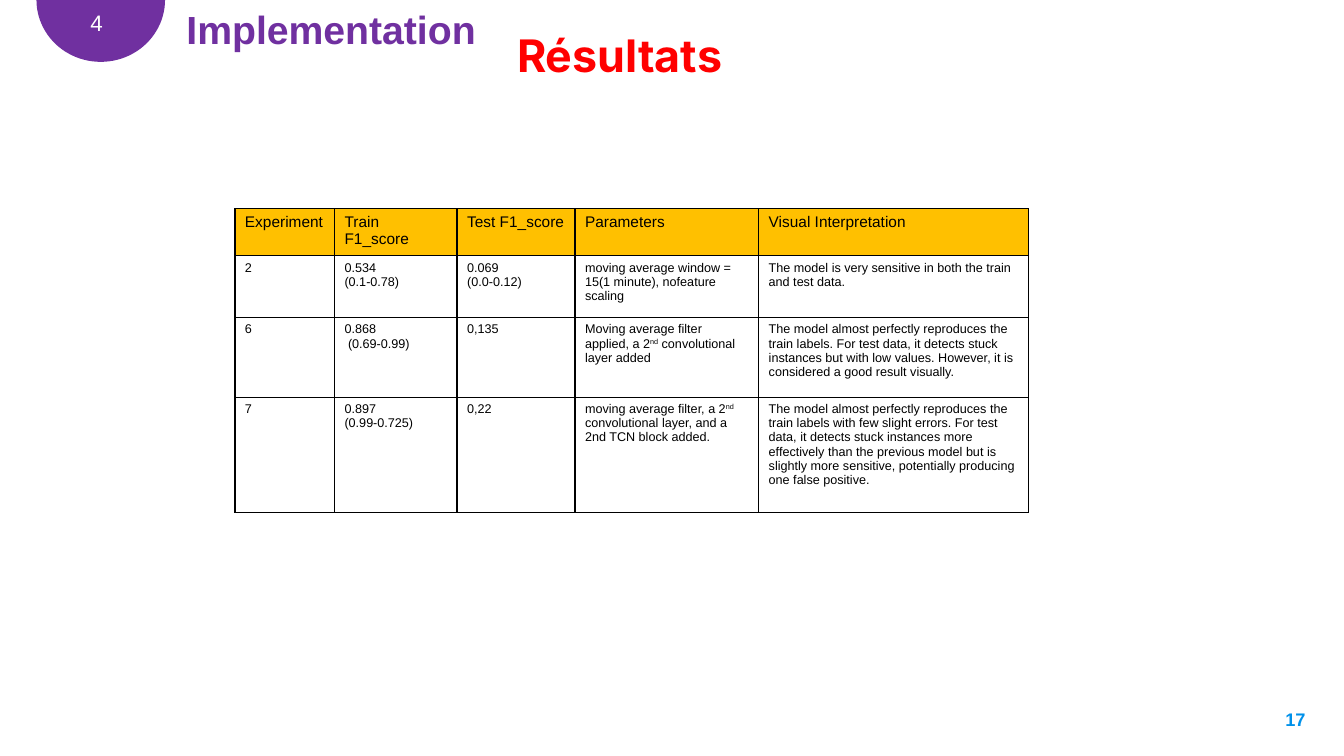
"""Build the results slide: a section badge, two titles and a table of experiments."""
from dataclasses import dataclass
from math import cos, pi, sin

from lxml.etree import SubElement
from pptx import Presentation
from pptx.dml.color import RGBColor
from pptx.enum.text import MSO_ANCHOR as Anchor, PP_ALIGN as Align
from pptx.oxml.ns import qn
from pptx.util import Cm, Pt

PURPLE, BLACK, WHITE, AMBER = "7030A0", "000000", "FFFFFF", "FFC000"
BORDERS = ("a:lnL", "a:lnR", "a:lnT", "a:lnB")


@dataclass
class Label:
    text: str
    left: float
    top: float
    width: float
    height: float
    size: float
    color: str
    font: str = "Arial"
    bold: bool = False
    align: Align = Align.LEFT
    anchor: Anchor = Anchor.TOP
    inset: float = 0.13


@dataclass
class Column:
    heading: str
    width: float
    values: tuple[str, ...]


LABELS = [
    Label("17", 31.12, 17.6, 2.03, 1.45, 13, "0091EA", bold=True, align=Align.RIGHT, inset=0.25),
    Label("Résultats", 12.78, 0.56, 7.65, 1.63, 32, "FF0000", font="Inter", bold=True),
    Label("4", 2.03, 0.1, 1.4, 1.63, 16, WHITE),
    Label("Implementation", 4.45, 0, 14.81, 1.45, 28, PURPLE, bold=True, anchor=Anchor.MIDDLE),
]

COLUMNS = [
    Column("Experiment", 2.51, ("2", "6", "7")),
    Column("Train F1_score", 3.09, (
        "0.534\n(0.1-0.78)", "0.868\n (0.69-0.99)", "0.897\n(0.99-0.725)")),
    Column("Test F1_score", 2.97, ("0.069\n(0.0-0.12)", "0,135", "0,22")),
    Column("Parameters", 4.63, (
        "moving average window = 15(1 minute), nofeature scaling",
        "Moving average filter applied, a 2^nd^ convolutional layer added",
        "moving average filter, a 2^nd^ convolutional layer, and a 2nd TCN block added.")),
    Column("Visual Interpretation", 6.79, (
        "The model is very sensitive in both the train and test data.",
        "The model almost perfectly reproduces the train labels. For test data, it detects "
        "stuck instances but with low values. However, it is considered a good result visually.",
        "The model almost perfectly reproduces the train labels with few slight errors. For test "
        "data, it detects stuck instances more effectively than the previous model but is "
        "slightly more sensitive, potentially producing one false positive.")),
]
ROW_HEIGHTS = (1.18, 1.56, 2.01, 2.91)


def rgb(color: str) -> RGBColor:
    """Turn a hex string into a colour."""
    return RGBColor.from_string(color)


def write(tf, text: str, size: float, color: str, font: str = "Arial",
          bold: bool = False, align: Align = Align.LEFT) -> None:
    """Write one paragraph per line, with superscripts between carets."""
    for i, line in enumerate(text.split("\n")):
        p = tf.add_paragraph() if i else tf.paragraphs[0]
        p.alignment = align
        for j, part in enumerate(line.split("^")):
            r = p.add_run()
            r.text = part
            r.font.name, r.font.size, r.font.bold = font, Pt(size), bold
            r.font.color.rgb = rgb(color)
            if j % 2:
                r.font._element.set("baseline", "30000")


def add_label(s, label: Label) -> None:
    """Place a text box."""
    box = (label.left, label.top, label.width, label.height)
    tf = s.shapes.add_textbox(*map(Cm, box)).text_frame
    tf.word_wrap = True
    tf.vertical_anchor = label.anchor
    tf.margin_left = tf.margin_right = Cm(0.25)
    tf.margin_top = tf.margin_bottom = Cm(label.inset)
    write(tf, label.text, label.size, label.color, label.font, label.bold, label.align)


def add_badge(s, center: float, rx: float, ry: float, steps: int = 48) -> None:
    """Draw the half disc hanging from the top edge."""
    arc = [(Cm(center + rx * cos(pi * i / steps)), Cm(ry * sin(pi * i / steps)))
           for i in range(steps + 1)]
    builder = s.shapes.build_freeform(*arc[0])
    builder.add_line_segments(arc[1:], close=True)
    sp = builder.convert_to_shape()
    sp.shadow.inherit = False
    sp.fill.solid()
    sp.fill.fore_color.rgb = rgb(PURPLE)
    sp.line.fill.background()


def add_borders(cell, color: str, width: float) -> None:
    """Outline a cell on its four sides."""
    pr = cell._tc.get_or_add_tcPr()
    for i, tag in enumerate(BORDERS):
        ln = SubElement(pr, qn(tag), w=str(Pt(width)))
        SubElement(SubElement(ln, qn("a:solidFill")), qn("a:srgbClr"), val=color)
        pr.insert(i, ln)


def add_results(s, left: float, top: float) -> None:
    """Build the table of experiments."""
    width = sum(column.width for column in COLUMNS)
    size = (left, top, width, sum(ROW_HEIGHTS))
    table = s.shapes.add_table(len(ROW_HEIGHTS), len(COLUMNS), *map(Cm, size)).table
    table.first_row = table.horz_banding = False
    for row, height in zip(table.rows, ROW_HEIGHTS):
        row.height = Cm(height)
    for c, column in enumerate(COLUMNS):
        table.columns[c].width = Cm(column.width)
        for r, text in enumerate((column.heading, *column.values)):
            cell = table.cell(r, c)
            if r == 0:
                cell.fill.solid()
                cell.fill.fore_color.rgb = rgb(AMBER)
            else:
                cell.fill.background()
            add_borders(cell, BLACK, 1)
            write(cell.text_frame, text, 9 if r else 11, BLACK)


def main() -> None:
    """Assemble and save the slide."""
    prs = Presentation()
    prs.slide_width, prs.slide_height = Cm(33.87), Cm(19.05)
    s = prs.slides.add_slide(prs.slide_layouts[6])
    add_results(s, 5.92, 5.26)
    add_badge(s, 2.54, 1.62, 1.56)
    for label in LABELS:
        add_label(s, label)
    prs.save("out.pptx")


if __name__ == "__main__":
    main()
